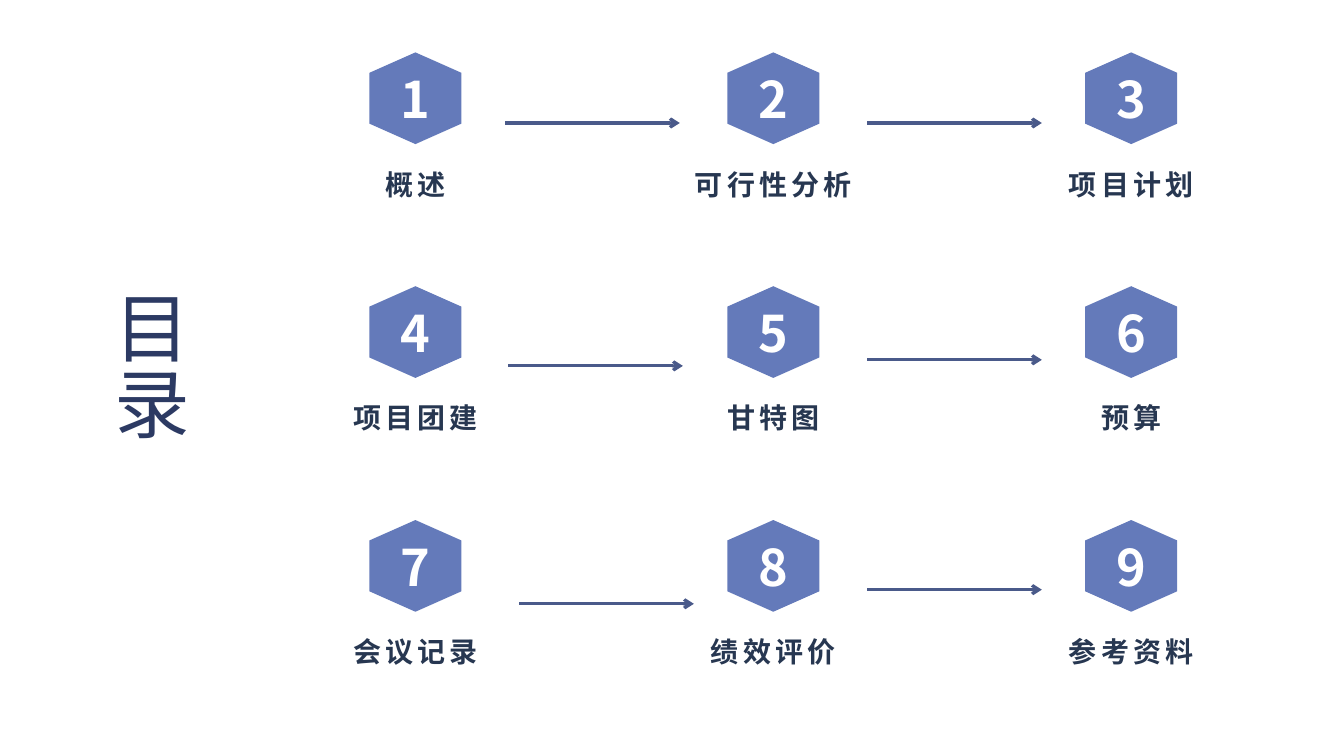
import pptx
import pptx.dml.color
import pptx.enum.shapes
import pptx.enum.text
import pptx.oxml
import pptx.oxml.ns
import pptx.util

ALIGN = pptx.enum.text.PP_ALIGN
ANCHOR = pptx.enum.text.MSO_ANCHOR
AUTOSIZE = pptx.enum.text.MSO_AUTO_SIZE
DRAWING_NS = pptx.oxml.ns.nsdecls("a")

# Agenda grid, in percent of the slide's width and height
FIRST_CENTRE, COLUMN_PITCH = 30.91, 26.63
FIRST_TOP, ROW_PITCH = 6.93, 30.93
CHAPTERS = [
    ["概述", "可行性分析", "项目计划"],
    ["项目团建", "甘特图", "预算"],
    ["会议记录", "绩效评价", "参考资料"],
]
ARROW_STARTS = [
    (37.58, 16.27), (64.52, 16.27),
    (37.81, 48.4), (64.52, 47.6),
    (38.63, 79.87), (64.52, 78),
]
ARROW_LENGTH = 13


def rgb(colour):
    return pptx.dml.color.RGBColor.from_string(colour)


def write(frame, text, size, colour, font, bold=False, align=ALIGN.CENTER,
          anchor=ANCHOR.TOP, spacing=0, auto_size=AUTOSIZE.NONE):
    frame.word_wrap = True
    frame.auto_size = auto_size
    frame.vertical_anchor = anchor
    paragraph = frame.paragraphs[0]
    paragraph.alignment = align
    run = paragraph.add_run()
    run.text = text
    run.font.size = pptx.util.Pt(size)
    run.font.bold = bold
    run.font.color.rgb = rgb(colour)
    run.font.name = font
    properties = run.font._element
    properties.append(pptx.oxml.parse_xml(f'<a:ea {DRAWING_NS} typeface="{font}"/>'))
    if spacing:
        properties.set("spc", str(spacing * 100))


class Agenda:
    font = "Noto Sans CJK SC"
    title_colour = "2C3A63"
    badge_colour = "647ABA"
    number_colour = "FFFFFF"
    label_colour = "273751"
    arrow_colour = "4A5A8A"

    def __init__(self, deck):
        self.width, self.height = deck.slide_width, deck.slide_height
        self.slide = deck.slides.add_slide(deck.slide_layouts[5])

    def x(self, percent):
        return round(self.width * percent / 100)

    def y(self, percent):
        return round(self.height * percent / 100)

    def box(self, left, top, width, height):
        return self.x(left), self.y(top), self.x(width), self.y(height)

    def title(self, text, left, top, width, height):
        heading = self.slide.shapes.title
        heading.left, heading.top, heading.width, heading.height = self.box(
            left, top, width, height)
        write(heading.text_frame, text, 54, self.title_colour, self.font,
              align=ALIGN.LEFT)
        heading.text_frame._txBody.bodyPr.set("vert", "eaVert")

    def badge(self, group, number, centre, top):
        half, shoulder, height = 3.42, 2.7, 12.13
        corners = [
            (centre + half, top + shoulder),
            (centre + half, top + height - shoulder),
            (centre, top + height),
            (centre - half, top + height - shoulder),
            (centre - half, top + shoulder),
        ]
        outline = group.shapes.build_freeform(self.x(centre), self.y(top))
        outline.add_line_segments([(self.x(h), self.y(v)) for h, v in corners])
        hexagon = outline.convert_to_shape()
        hexagon.shadow.inherit = False
        hexagon.fill.solid()
        hexagon.fill.fore_color.rgb = rgb(self.badge_colour)
        hexagon.line.fill.background()
        write(hexagon.text_frame, str(number), 36, self.number_colour, self.font,
              bold=True, anchor=ANCHOR.MIDDLE)

    def label(self, group, text, centre, top):
        width = 13.73
        caption = group.shapes.add_textbox(
            *self.box(centre - width / 2, top, width, 5.87))
        write(caption.text_frame, text, 20, self.label_colour, self.font,
              bold=True, spacing=3, auto_size=AUTOSIZE.SHAPE_TO_FIT_TEXT)

    def chapter(self, number, text, column, row):
        centre = FIRST_CENTRE + column * COLUMN_PITCH
        top = FIRST_TOP + row * ROW_PITCH
        group = self.slide.shapes.add_group_shape()
        self.badge(group, number, centre, top)
        self.label(group, text, centre, top + 14.53)

    def arrow(self, start, level):
        arrow = self.slide.shapes.add_connector(
            pptx.enum.shapes.MSO_CONNECTOR.STRAIGHT,
            self.x(start), self.y(level),
            self.x(start + ARROW_LENGTH), self.y(level))
        arrow.line.color.rgb = rgb(self.arrow_colour)
        arrow.line.width = pptx.util.Pt(2.25)
        arrow.line._ln.append(
            pptx.oxml.parse_xml(f'<a:tailEnd {DRAWING_NS} type="arrow"/>'))
        arrow._element.spPr.append(
            pptx.oxml.parse_xml(f"<a:effectLst {DRAWING_NS}/>"))


def main():
    deck = pptx.Presentation()
    deck.slide_width = pptx.util.Inches(13.33)
    deck.slide_height = pptx.util.Inches(7.5)
    agenda = Agenda(deck)

    # Vertical heading
    agenda.title("目录", 6.9, 37.73, 8.33, 69.2)

    # Numbered chapters
    for row, names in enumerate(CHAPTERS):
        for column, name in enumerate(names):
            agenda.chapter(row * len(names) + column + 1, name, column, row)

    # Arrows between neighbours
    for start, level in ARROW_STARTS:
        agenda.arrow(start, level)

    deck.save("out.pptx")


if __name__ == "__main__":
    main()
